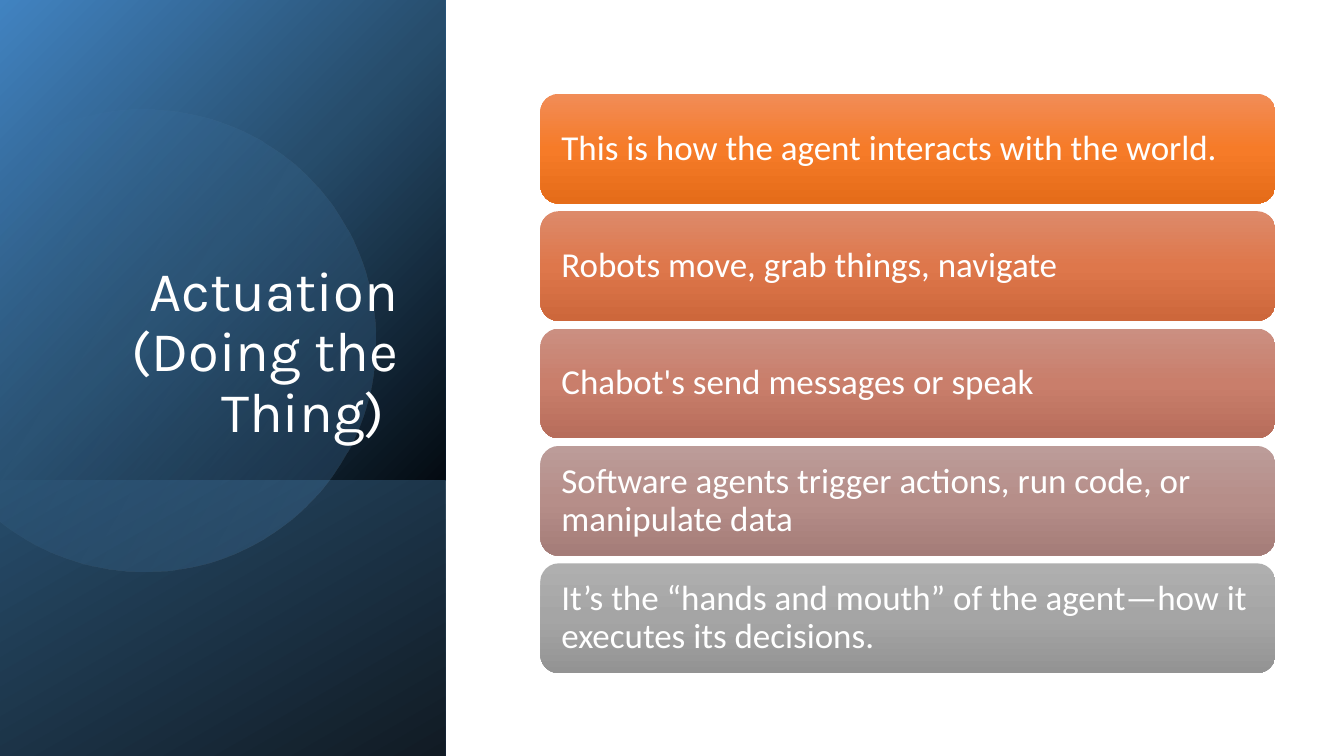
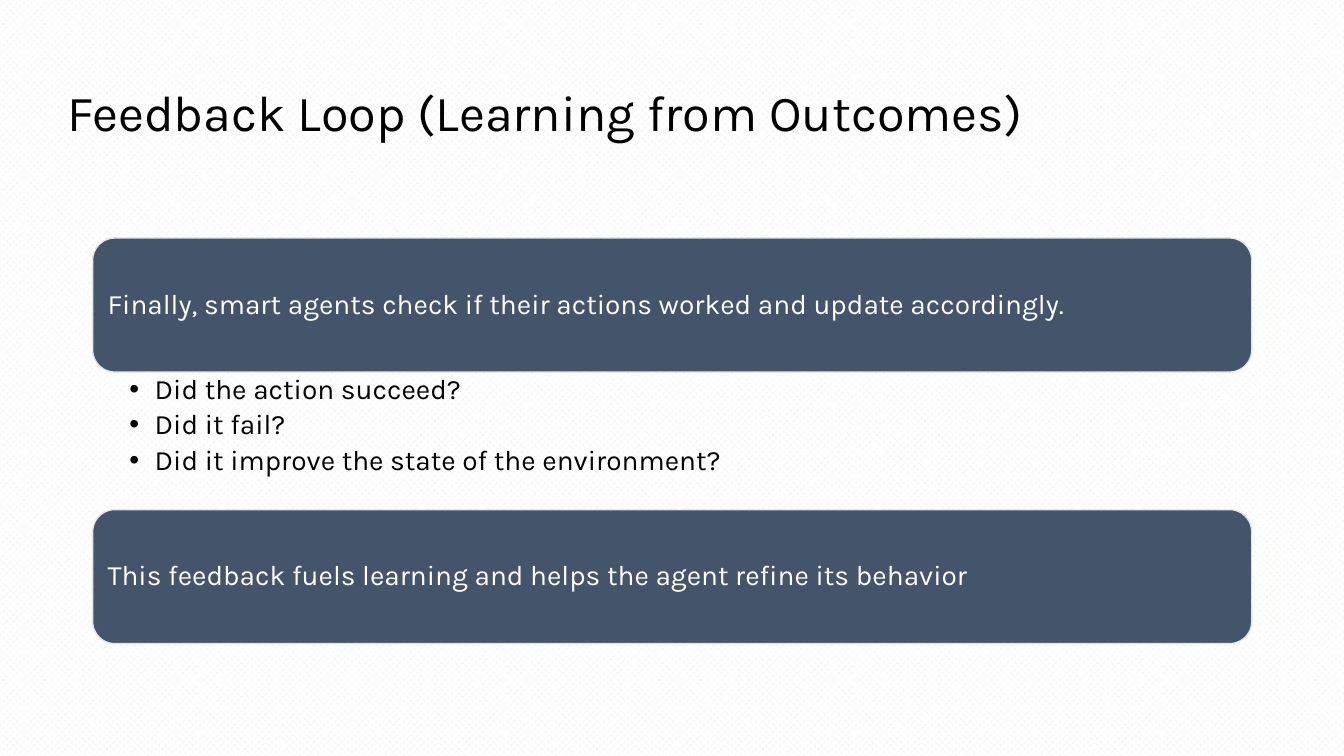
from math import acos, cos, pi, sin

from pptx import Presentation
from pptx.dml.color import RGBColor
from pptx.enum.dml import MSO_PATTERN
from pptx.enum.shapes import MSO_SHAPE
from pptx.enum.text import MSO_ANCHOR, MSO_AUTO_SIZE, PP_ALIGN
from pptx.oxml import parse_xml
from pptx.oxml.ns import nsdecls
from pptx.util import Pt

ROUNDED, RECTANGLE = MSO_SHAPE.ROUNDED_RECTANGLE, MSO_SHAPE.RECTANGLE
LEFT, RIGHT = PP_ALIGN.LEFT, PP_ALIGN.RIGHT
TOP, MIDDLE, BOTTOM = MSO_ANCHOR.TOP, MSO_ANCHOR.MIDDLE, MSO_ANCHOR.BOTTOM

WHITE = RGBColor(0xFF, 0xFF, 0xFF)
BLACK = RGBColor(0x00, 0x00, 0x00)
SLATE = RGBColor(0x44, 0x54, 0x6A)
PALE_GREY = RGBColor(0xE7, 0xE6, 0xE6)
PATTERN_GREY = RGBColor(0xF2, 0xF2, 0xF2)
SKY = RGBColor(0x41, 0x83, 0xC1)
NIGHT = RGBColor(0x04, 0x0B, 0x12)
STEEL = RGBColor(0x27, 0x4D, 0x6C)
INK = RGBColor(0x11, 0x1B, 0x24)
GLOW = RGBColor(0x5B, 0x9B, 0xD5)

TITLE_FONT, CARD_FONT = "Karla", "Calibri"

ACTUATION_TITLE = "Actuation (Doing the Thing) "
ACTUATION_CARDS = [
    ("This is how the agent interacts with the world.", ("F18C57", "F67B28", "E56C19")),
    ("Robots move, grab things, navigate", ("DD8A6A", "DE774B", "CD673B")),
    ("Chabot's send messages or speak", ("CB8F81", "C97E6B", "B76D5B")),
    ("Software agents trigger actions, run code, or manipulate data",
     ("BC9C99", "B68E89", "A47C78")),
    ("It’s the “hands and mouth” of the agent—how it executes its decisions.",
     ("AFAFAF", "A5A5A5", "939393")),
]
FEEDBACK_TITLE = "Feedback Loop (Learning from Outcomes)"
FEEDBACK_BOXES = [
    "Finally, smart agents check if their actions worked and update accordingly.",
    "This feedback fuels learning and helps the agent refine its behavior",
]
FEEDBACK_QUESTIONS = [
    "Did the action succeed?",
    "Did it fail?",
    "Did it improve the state of the environment?",
]

SLIDE_WIDTH, SLIDE_HEIGHT = 960, 540
PANEL_WIDTH, PANEL_SPLIT = 318, 343
DISC_X, DISC_Y, DISC_RADIUS = 103.5, 243.5, 165
CARD_LEFT, CARD_TOP, CARD_WIDTH, CARD_HEIGHT, CARD_PITCH = 386, 67, 525, 78.4, 83.85
BOX_LEFT, BOX_TOP, BOX_WIDTH, BOX_HEIGHT, LIST_HEIGHT = 66.2, 170, 828, 95.8, 98.2
BULLET_INDENT = 18


def points(*lengths):
    return [Pt(length) for length in lengths]


def write(shape, lines, size, color, font=TITLE_FONT, align=LEFT, anchor=MIDDLE,
          insets=(7.2, 3.6, 7.2, 3.6), space_after=0, bullet_indent=0):
    frame = shape.text_frame
    frame.word_wrap = True
    frame.auto_size = MSO_AUTO_SIZE.NONE
    frame.vertical_anchor = anchor
    (frame.margin_left, frame.margin_top,
     frame.margin_right, frame.margin_bottom) = points(*insets)
    frame.text = "\n".join(lines)
    for paragraph in frame.paragraphs:
        paragraph.alignment = align
        paragraph.line_spacing = 0.9
        paragraph.space_before = Pt(0)
        paragraph.space_after = Pt(space_after)
        if bullet_indent:
            properties = paragraph._p.get_or_add_pPr()
            properties.set("marL", str(Pt(bullet_indent)))
            properties.set("indent", str(-Pt(bullet_indent)))
        for run in paragraph.runs:
            run.font.name = font
            run.font.size = Pt(size)
            run.font.color.rgb = color


def place(shape, left, top, width, height):
    shape.left, shape.top, shape.width, shape.height = points(left, top, width, height)


def paint_gradient(shape, colors, angle, alphas=None):
    """Fill with evenly spaced colours; alphas are percentages, angle is clockwise."""
    alphas = alphas or [100] * len(colors)
    stops = "".join(
        f'<a:gs pos="{100000 * index // (len(colors) - 1)}"><a:srgbClr val="{color}">'
        f'<a:alpha val="{alpha * 1000}"/></a:srgbClr></a:gs>'
        for index, (color, alpha) in enumerate(zip(colors, alphas)))
    shape._element.spPr.append(parse_xml(
        f'<a:gradFill {nsdecls("a")} rotWithShape="1"><a:gsLst>{stops}</a:gsLst>'
        f'<a:lin ang="{angle * 60000}" scaled="0"/></a:gradFill>'))
    shape.line.fill.background()
    shape.shadow.inherit = False


def add_gradient_shape(slide, kind, box, colors, angle):
    shape = slide.shapes.add_shape(kind, *points(*box))
    paint_gradient(shape, colors, angle)
    return shape


def add_disc(slide):
    """Draw the translucent disc, cut off at the slide's left edge."""
    limit = acos(-DISC_X / DISC_RADIUS)
    steps = 120
    angles = [limit * (2 * step / steps - 1) for step in range(steps + 1)]
    outline = [points(DISC_X + DISC_RADIUS * cos(angle), DISC_Y + DISC_RADIUS * sin(angle))
               for angle in angles]
    builder = slide.shapes.build_freeform(*outline[0])
    builder.add_line_segments(outline[1:], close=True)
    paint_gradient(builder.convert_to_shape(), (GLOW, GLOW), 30, alphas=(0, 24))


def build_actuation(presentation):
    slide = presentation.slides.add_slide(presentation.slide_layouts[5])
    add_gradient_shape(slide, RECTANGLE, (0, 0, PANEL_WIDTH, PANEL_SPLIT), (SKY, STEEL, NIGHT), 45)
    add_gradient_shape(slide, RECTANGLE,
                       (0, PANEL_SPLIT, PANEL_WIDTH, SLIDE_HEIGHT - PANEL_SPLIT), (STEEL, INK), 60)
    add_disc(slide)
    title = slide.shapes.title
    slide.shapes._spTree.append(title._element)
    place(title, 46, 132.5, 245.5, 188.6)
    write(title, [ACTUATION_TITLE], 40, WHITE, align=RIGHT, anchor=BOTTOM)
    for index, (text, colors) in enumerate(ACTUATION_CARDS):
        box = (CARD_LEFT, CARD_TOP + index * CARD_PITCH, CARD_WIDTH, CARD_HEIGHT)
        card = add_gradient_shape(slide, ROUNDED, box, colors, 90)
        write(card, [text], 25, WHITE, font=CARD_FONT, insets=(11.2, 7.2, 11.2, 7.2))


def build_feedback(presentation):
    slide = presentation.slides.add_slide(presentation.slide_layouts[1])
    background = slide.background.fill
    background.patterned()
    background.pattern = MSO_PATTERN.PERCENT_50
    background.fore_color.rgb = PATTERN_GREY
    background.back_color.rgb = WHITE
    place(slide.shapes.title, 41, 30, 828, 104.4)
    write(slide.shapes.title, [FEEDBACK_TITLE], 36, BLACK)
    questions = slide.placeholders[1]
    place(questions, BOX_LEFT, BOX_TOP + BOX_HEIGHT, BOX_WIDTH, LIST_HEIGHT)
    write(questions, FEEDBACK_QUESTIONS, 20, BLACK, anchor=TOP, insets=(26.3, 2, 11.5, 2),
          space_after=4, bullet_indent=BULLET_INDENT)
    for index, text in enumerate(FEEDBACK_BOXES):
        top = BOX_TOP + index * (BOX_HEIGHT + LIST_HEIGHT)
        box = slide.shapes.add_shape(ROUNDED, *points(BOX_LEFT, top, BOX_WIDTH, BOX_HEIGHT))
        box.shadow.inherit = False
        box.fill.solid()
        box.fill.fore_color.rgb = SLATE
        box.line.color.rgb = PALE_GREY
        box.line.width = Pt(1)
        write(box, [text], 20, WHITE, insets=(6, 6, 6, 6))


def main():
    presentation = Presentation()
    presentation.slide_width, presentation.slide_height = points(SLIDE_WIDTH, SLIDE_HEIGHT)
    build_actuation(presentation)
    build_feedback(presentation)
    presentation.save("out.pptx")


if __name__ == "__main__":
    main()
